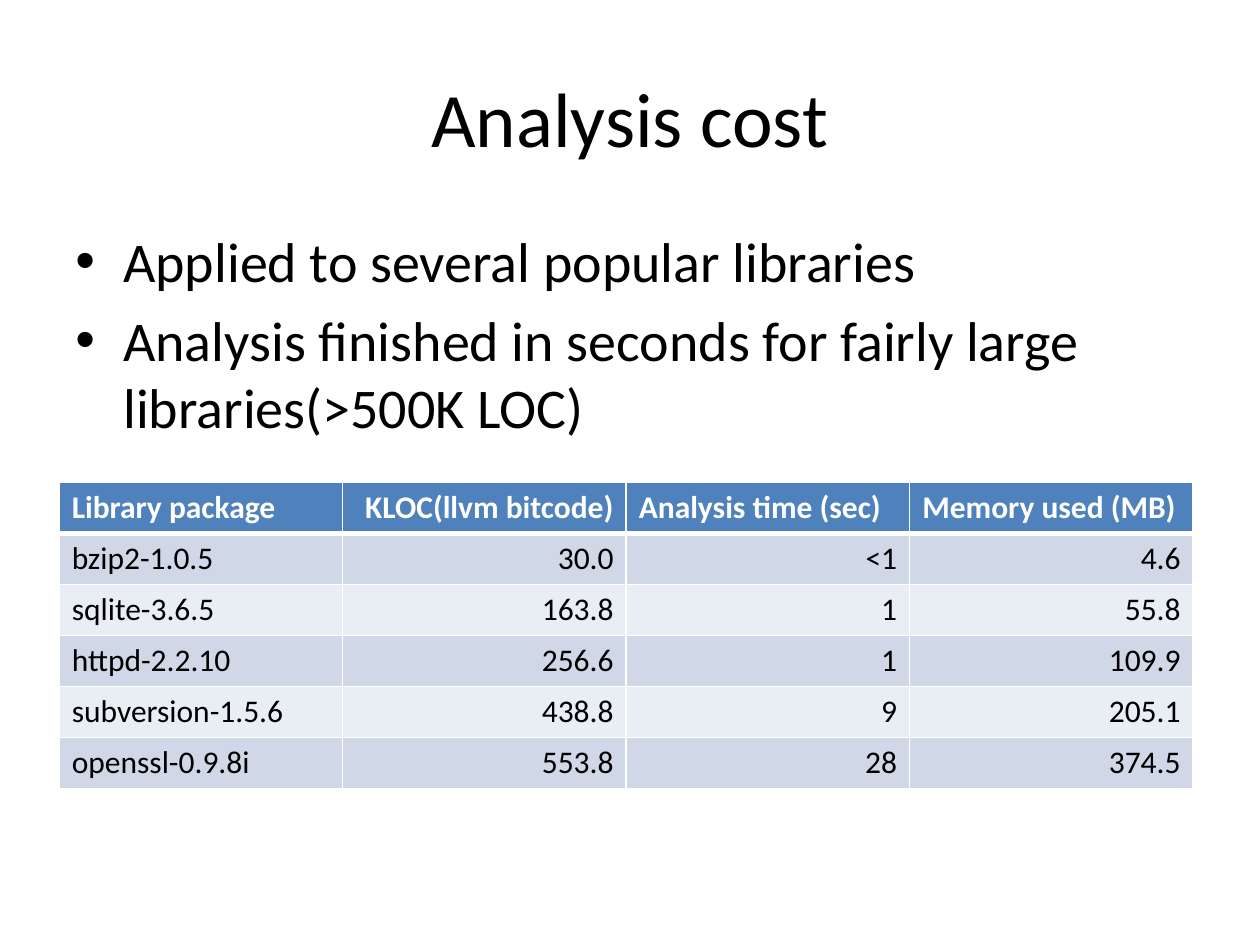
import pptx
import pptx.dml.color
import pptx.enum.text
import pptx.oxml
import pptx.oxml.ns
import pptx.util

Inches = pptx.util.Inches
Pt = pptx.util.Pt
RGBColor = pptx.dml.color.RGBColor
PP_ALIGN = pptx.enum.text.PP_ALIGN
MSO_ANCHOR = pptx.enum.text.MSO_ANCHOR

BLACK = RGBColor(0x00, 0x00, 0x00)
WHITE = RGBColor(0xFF, 0xFF, 0xFF)
HEADER_BLUE = RGBColor(0x4F, 0x81, 0xBD)
BAND_DARK = RGBColor(0xD0, 0xD8, 0xE8)
BAND_LIGHT = RGBColor(0xE9, 0xED, 0xF4)
FONT = "Calibri"

POINTS = [
    "Applied to several popular libraries",
    "Analysis finished in seconds for fairly large libraries(>500K LOC)",
]
COSTS = [
    ["Library package", "KLOC(llvm bitcode)", "Analysis time (sec)", "Memory used (MB)"],
    ["bzip2-1.0.5", "30.0", "<1", "4.6"],
    ["sqlite-3.6.5", "163.8", "1", "55.8"],
    ["httpd-2.2.10", "256.6", "1", "109.9"],
    ["subversion-1.5.6", "438.8", "9", "205.1"],
    ["openssl-0.9.8i", "553.8", "28", "374.5"],
]


def set_font(paragraph, size, color, bold=False):
    paragraph.font.name = FONT
    paragraph.font.size = Pt(size)
    paragraph.font.bold = bold
    paragraph.font.color.rgb = color


def add_title(slide, box, text):
    title = slide.shapes.add_textbox(*box).text_frame
    title.word_wrap = True
    title.vertical_anchor = MSO_ANCHOR.MIDDLE
    heading = title.paragraphs[0]
    heading.text = text
    heading.alignment = PP_ALIGN.CENTER
    set_font(heading, 44, BLACK)


def add_bullet(paragraph):
    properties = paragraph._p.get_or_add_pPr()
    properties.set("marL", str(Inches(0.38)))
    properties.set("indent", str(Inches(-0.38)))
    namespace = pptx.oxml.ns.nsdecls("a")
    for element in ('buFont {} typeface="Arial"', 'buChar {} char="•"'):
        properties.append(pptx.oxml.parse_xml(f"<a:{element.format(namespace)}/>"))


def add_points(slide, box, points):
    body = slide.shapes.add_textbox(*box).text_frame
    body.word_wrap = True
    for index, point in enumerate(points):
        paragraph = body.add_paragraph() if index else body.paragraphs[0]
        paragraph.text = point
        add_bullet(paragraph)
        if index:
            paragraph.space_before = Pt(6.4)
        set_font(paragraph, 32, BLACK)


def set_borders(cell, widths):
    properties = cell._tc.get_or_add_tcPr()
    for position, (side, width) in enumerate(widths.items()):
        border = pptx.oxml.parse_xml(
            f'<a:ln{side} {pptx.oxml.ns.nsdecls("a")} w="{Pt(width)}">'
            f'<a:solidFill><a:srgbClr val="{WHITE}"/></a:solidFill></a:ln{side}>'
        )
        properties.insert(position, border)


def add_cost_table(slide, box, costs):
    table = slide.shapes.add_table(len(costs), len(costs[0]), *box).table
    for row, values in enumerate(costs):
        header = row == 0
        fill = HEADER_BLUE if header else BAND_DARK if row % 2 else BAND_LIGHT
        for column, value in enumerate(values):
            cell = table.cell(row, column)
            cell.fill.solid()
            cell.fill.fore_color.rgb = fill
            top, bottom = 3 if row == 1 else 1, 3 if header else 1
            set_borders(cell, {"L": 1, "R": 1, "T": top, "B": bottom})
            paragraph = cell.text_frame.paragraphs[0]
            paragraph.text = value
            right = column == 1 or (column > 1 and not header)
            paragraph.alignment = PP_ALIGN.RIGHT if right else PP_ALIGN.LEFT
            set_font(paragraph, 18, WHITE if header else BLACK, header)


def main():
    presentation = pptx.Presentation()
    presentation.slide_width = Inches(10)
    presentation.slide_height = Inches(7.5)
    slide = presentation.slides.add_slide(presentation.slide_layouts[6])
    add_title(slide, (Inches(0.5), Inches(0.3), Inches(9), Inches(1.25)), "Analysis cost")
    add_points(slide, (Inches(0.5), Inches(1.75), Inches(9), Inches(4.95)), POINTS)
    add_cost_table(slide, (Inches(0.47), Inches(3.83), Inches(9), Inches(2.43)), COSTS)
    presentation.save("out.pptx")


if __name__ == "__main__":
    main()
